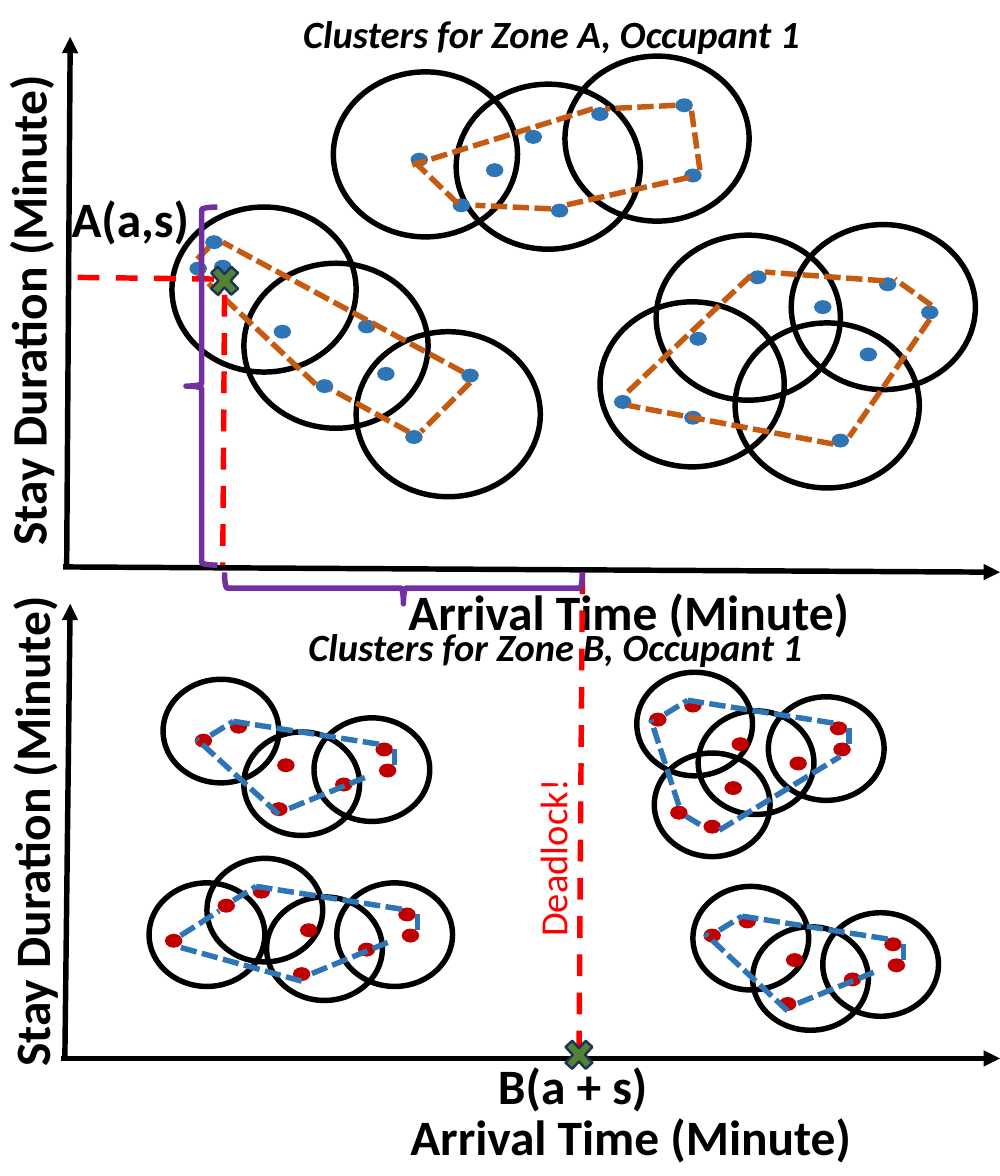
from lxml import etree
from pptx import Presentation
from pptx.dml.color import RGBColor
from pptx.enum.dml import MSO_LINE
from pptx.enum.shapes import MSO_CONNECTOR, MSO_SHAPE
from pptx.oxml.ns import qn
from pptx.util import Inches, Pt

STRAIGHT = MSO_CONNECTOR.STRAIGHT
OVAL = MSO_SHAPE.OVAL
BRACE = MSO_SHAPE.LEFT_BRACE
CROSS = MSO_SHAPE.MATH_MULTIPLY
SHORT_DASH = MSO_LINE.SQUARE_DOT
LONG_DASH = MSO_LINE.DASH

COLUMNS, ROWS = 570, 670
CELL = Inches(0.01)

BLACK, RED, PURPLE = "000000", "FF0000", "7030A0"
BLUE, ORANGE, DARK_RED = "2E75B6", "C55A11", "C00000"
GREEN, NAVY = "548235", "1E3256"

CIRCLE_A, CIRCLE_B = (105, 94), (66, 59)
DOT = (10, 8)
MARKER = (22, 24)
BRACE_SIZE = (18, 204)
LABEL_SIZE, TITLE_SIZE = 20.3, 15.8

ZONE_A = [
    {"circles": [(98, 118), (139, 150), (203, 189)],
     "dots": [(117, 134), (122, 148), (108, 149), (204, 182), (156, 185),
              (231, 245), (263, 210), (215, 209), (180, 216)],
     "edges": [(233, 246, 189, 222), (180, 219, 113, 156), (119, 141, 111, 149),
               (264, 212, 127, 138), (268, 218, 240, 246)]},
    {"circles": [(342, 172), (374, 134), (451, 128), (419, 184)],
     "dots": [(350, 225), (390, 234), (393, 189), (427, 154), (464, 171),
              (501, 158), (525, 174), (490, 198), (474, 247)],
     "edges": [(475, 253, 358, 231), (530, 182, 484, 249), (531, 174, 510, 159),
               (504, 160, 436, 155), (428, 157, 356, 225)]},
    {"circles": [(260, 48), (322, 32), (190, 41)],
     "dots": [(258, 113), (234, 87), (299, 74), (314, 116), (390, 96),
              (385, 56), (337, 61), (277, 93)],
     "edges": [(261, 116, 236, 92), (314, 119, 271, 117), (393, 101, 322, 117),
               (385, 60, 345, 62), (338, 62, 235, 94), (399, 97, 394, 62)]},
]

SHARED_CIRCLES = [(0, 0), (-40, 8)]
SHARED_DOTS = [(35, 14), (37, 26), (12, 34), (-25, 48), (-21, 23), (-48, 1), (-68, 9)]
SHARED_EDGES = [(46, 27, 46, 17), (37, 15, -46, 2), (-59, 10, -46, 2)]
LOWER_EDGE = (29, 34, -15, 52)

ZONE_B = [
    {"origin": (192, 503), "circles": [(-74, -14), (-107, 0)], "dots": [(-98, 29)],
     "edges": [LOWER_EDGE, (-20, 56, -92, 36), (-89, 30, -67, 16)]},
    {"origin": (469, 520), "circles": [(-74, -15)], "dots": [],
     "edges": [LOWER_EDGE, (-20, 56, -67, 12)]},
    {"origin": (179, 409), "circles": [(-86, -22)], "dots": [],
     "edges": [LOWER_EDGE, (-20, 55, -67, 12)]},
    {"origin": (438, 397), "circles": [(-75, -14), (-65, 32)],
     "dots": [(-56, 62), (-37, 70)],
     "edges": [(-51, 62, -67, 13), (-47, 68, -37, 74), (-28, 76, 41, 34)]},
]


def color(hex_code):
    return RGBColor.from_string(hex_code)


def add_preset(slide, preset, corner, size, fill=None, stroke=None, weight=2.25, turn=0):
    lengths = [value * CELL for value in (*corner, *size)]
    preset_shape = slide.shapes.add_shape(preset, *lengths)
    preset_shape.shadow.inherit = False
    preset_shape.rotation = turn
    if fill:
        preset_shape.fill.solid()
        preset_shape.fill.fore_color.rgb = color(fill)
    else:
        preset_shape.fill.background()
    if stroke:
        preset_shape.line.color.rgb = color(stroke)
        preset_shape.line.width = Pt(weight)
    else:
        preset_shape.line.fill.background()


def add_line(slide, ends, stroke, dash=None, arrow=False):
    connector = slide.shapes.add_connector(STRAIGHT, *[value * CELL for value in ends])
    connector.line.color.rgb = color(stroke)
    connector.line.width = Pt(2.25)
    if dash:
        connector.line.dash_style = dash
    properties = connector._element.spPr
    if arrow:
        etree.SubElement(properties.find(qn("a:ln")), qn("a:tailEnd"), type="triangle")
    etree.SubElement(properties, qn("a:effectLst"))


def add_text(slide, text, corner, size, points=LABEL_SIZE, hue=BLACK,
             bold=True, italic=False, turn=0):
    lengths = [value * CELL for value in (*corner, *size)]
    box = slide.shapes.add_textbox(*lengths)
    box.rotation = turn
    box.text_frame.word_wrap = True
    run = box.text_frame.paragraphs[0].add_run()
    run.text = text
    run.font.name = "Calibri"
    run.font.size = Pt(points)
    run.font.bold = bold
    run.font.italic = italic
    run.font.color.rgb = color(hue)


def add_cluster(slide, circles, dots, edges, circle_size, dot_hue, edge_hue, origin=(0, 0)):
    x, y = origin
    for left, top in circles:
        add_preset(slide, OVAL, (x + left, y + top), circle_size, stroke=BLACK)
    for left, top in dots:
        add_preset(slide, OVAL, (x + left, y + top), DOT, fill=dot_hue)
    for x1, y1, x2, y2 in edges:
        add_line(slide, (x + x1, y + y1, x + x2, y + y2), edge_hue, dash=SHORT_DASH)


def add_axes(slide, arrival_axis, stay_axis, arrival_corner, stay_corner):
    for axis in (arrival_axis, stay_axis):
        add_line(slide, axis, BLACK, arrow=True)
    add_text(slide, "Arrival Time (Minute)", arrival_corner, (279, 45))
    add_text(slide, "Stay Duration (Minute)", stay_corner, (296, 45), turn=270)


def main():
    deck = Presentation()
    deck.slide_width, deck.slide_height = COLUMNS * CELL, ROWS * CELL
    slide = deck.slides.add_slide(deck.slide_layouts[6])

    add_axes(slide, (36, 323, 570, 326), (38, 324, 40, 21), (223, 326), (-132, 150))
    add_axes(slide, (35, 603, 570, 603), (37, 603, 40, 344), (224, 625), (-130, 447))

    for cluster in ZONE_A:
        add_cluster(slide, **cluster, circle_size=CIRCLE_A, dot_hue=BLUE, edge_hue=ORANGE)
    for cluster in ZONE_B:
        add_cluster(slide, SHARED_CIRCLES + cluster["circles"],
                    SHARED_DOTS + cluster["dots"], SHARED_EDGES + cluster["edges"],
                    CIRCLE_B, DARK_RED, BLUE, cluster["origin"])

    for guide in [(128, 168, 127, 322), (122, 159, 40, 158), (332, 326, 330, 603)]:
        add_line(slide, guide, RED, dash=LONG_DASH)
    for corner, turn in [((106, 118), 0), ((221, 233), 270)]:
        add_preset(slide, BRACE, corner, BRACE_SIZE, stroke=PURPLE, turn=turn)
    for corner in [(117, 148), (319, 589)]:
        add_preset(slide, CROSS, corner, MARKER, fill=GREEN, stroke=NAVY, weight=1)

    add_text(slide, "A(a,s)", (31, 102), (90, 45))
    add_text(slide, "B(a + s)", (274, 596), (148, 45))
    for zone, corner in [("A", (163, 1)), ("B", (166, 350))]:
        add_text(slide, f"Clusters for Zone {zone}, Occupant 1", corner, (311, 37),
                 points=TITLE_SIZE, italic=True)
    add_text(slide, "Deadlock!", (259, 469), (112, 37), points=TITLE_SIZE,
             hue=RED, bold=False, turn=270)

    deck.save("out.pptx")


main()
